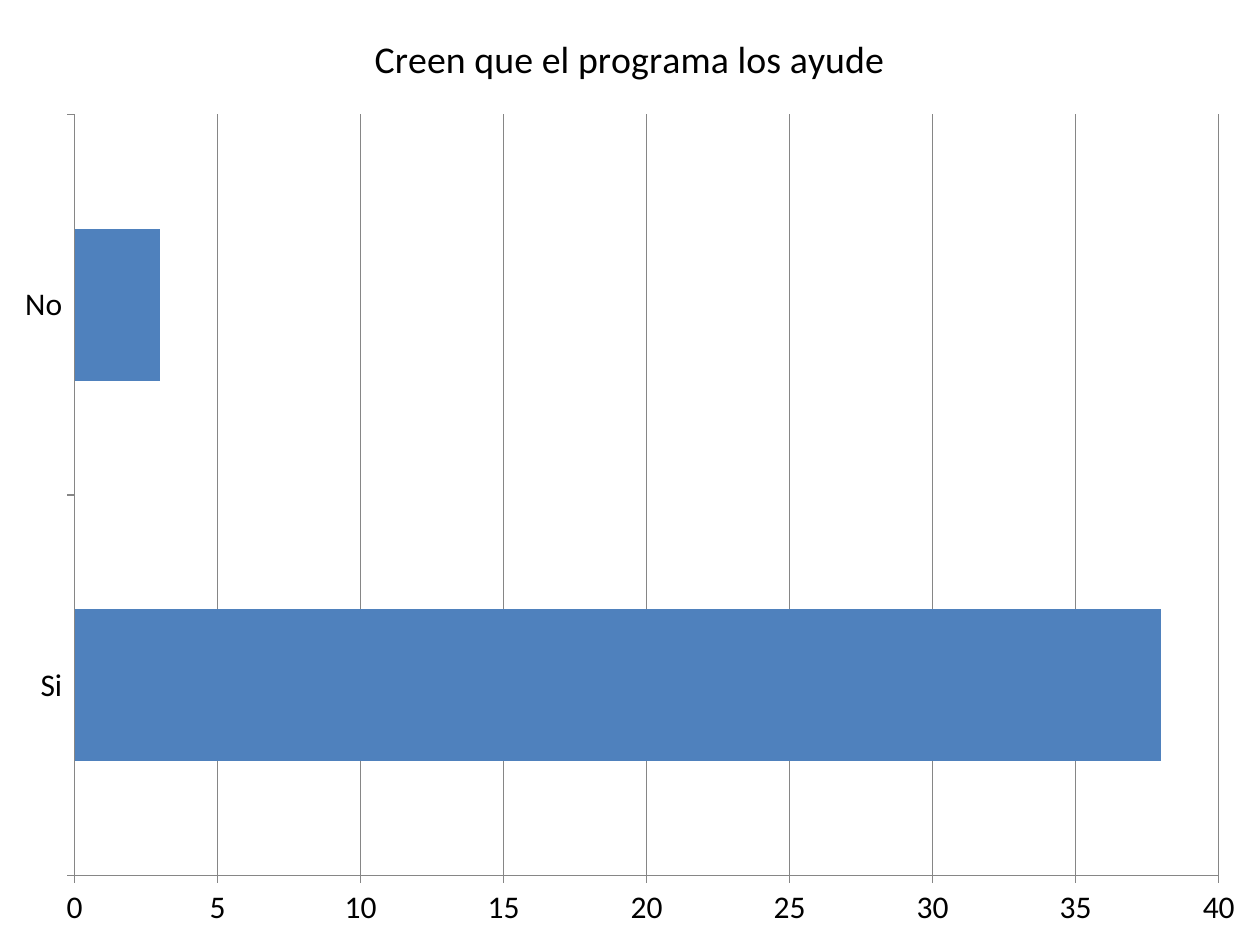
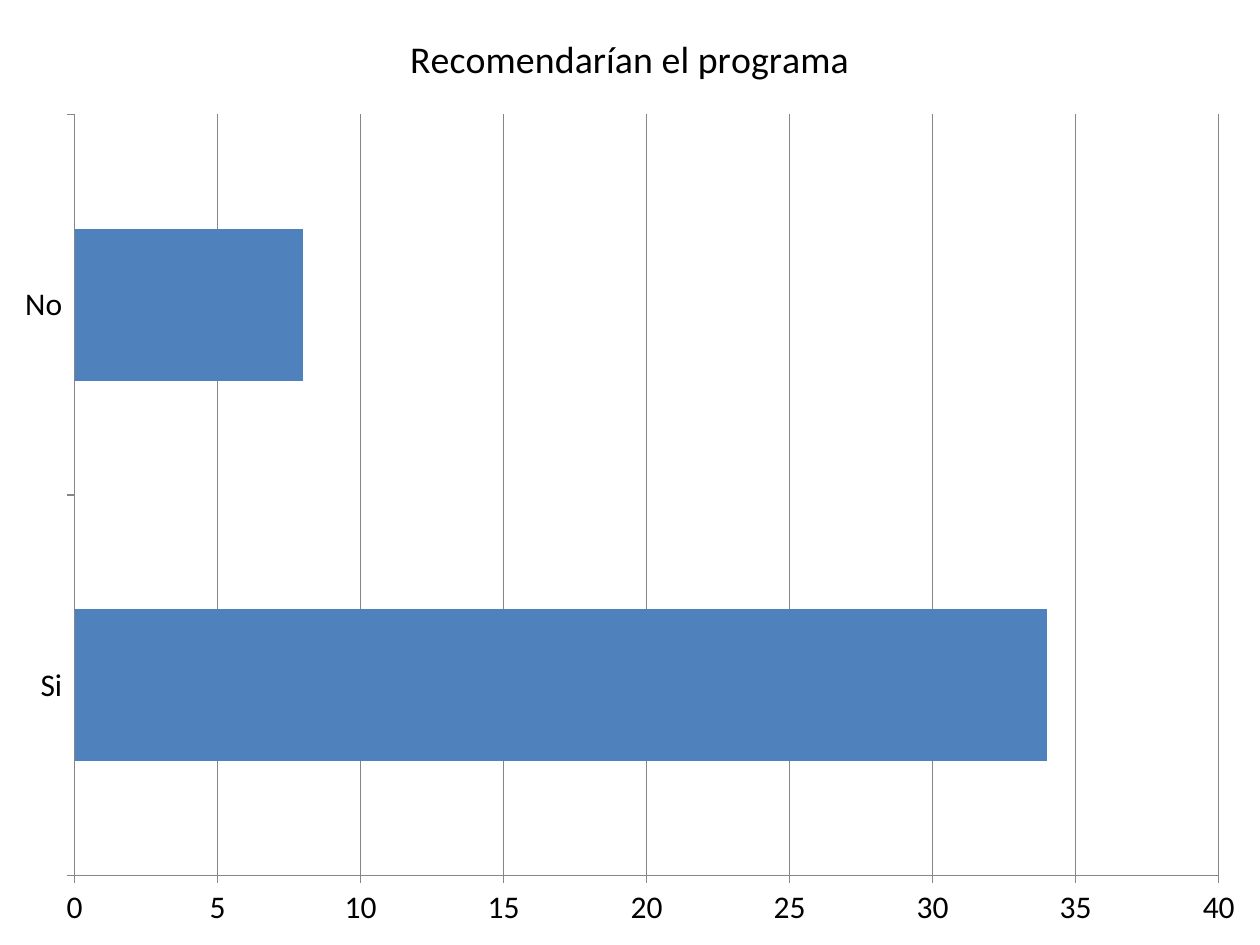
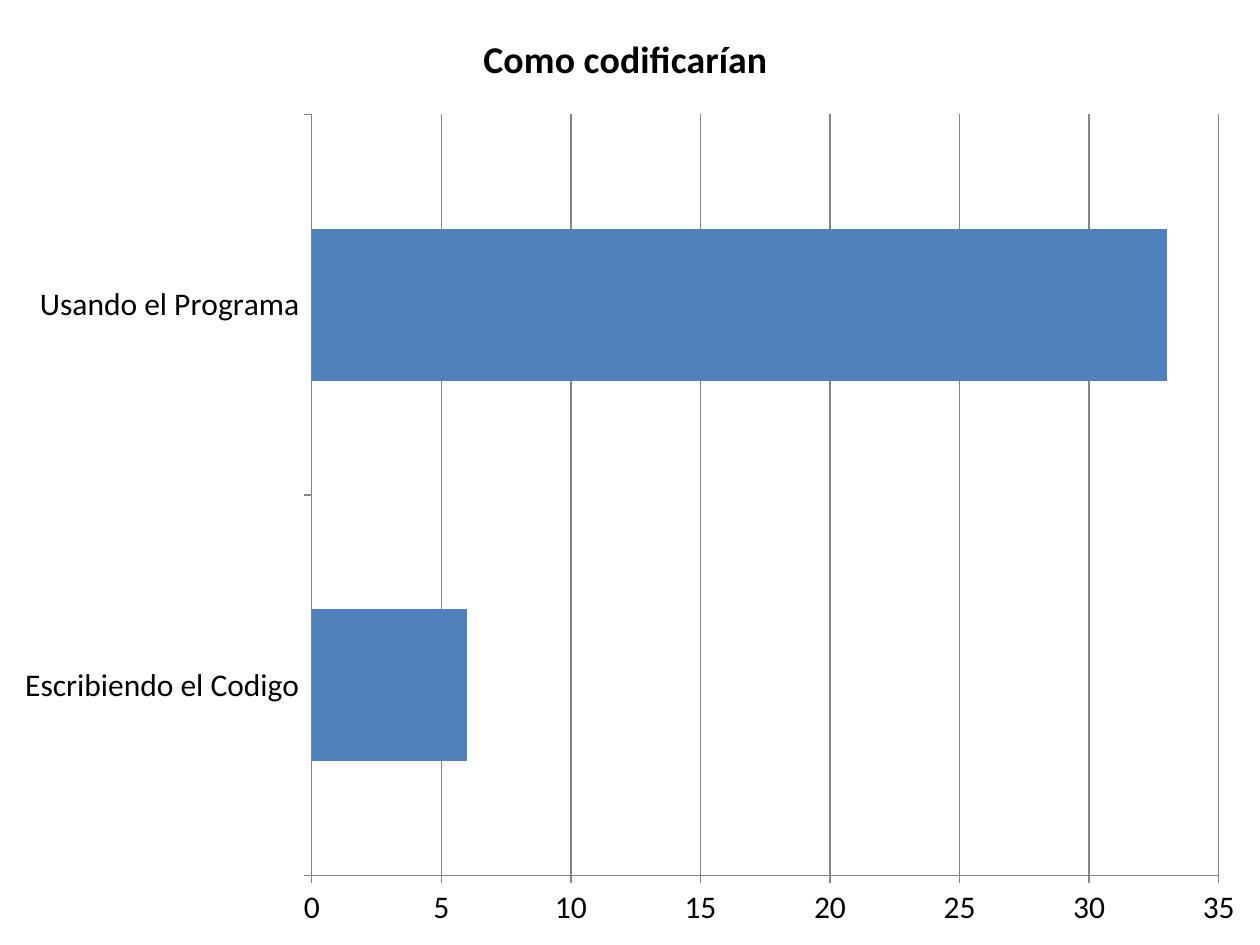
from pptx import Presentation
from pptx.chart.data import CategoryChartData as Data
from pptx.dml.color import RGBColor as RGB
from pptx.enum.chart import XL_CHART_TYPE as Kind, XL_TICK_MARK as Tick
from pptx.util import Pt

WIDE, HIGH = 720, 540
FONT, SIZE = "Calibri", 18
INK, GRAY, BLUE = "000000", "868686", "4F81BD"
STEP = 5

HELP = "Creen que el programa los ayude"
ADVISE = "Recomendarían el programa"
CODE = "Como codificarían "

# Series name, fixed title (None shows the series name), answers, axis top
POLLS = [
    (HELP, None, {"Si": 38, "No": 3}, 40),
    (ADVISE, None, {"Si": 34, "No": 8}, 40),
    ("Series 1", CODE, {"Escribiendo el Codigo": 6, "Usando el Programa": 33}, 35),
]


def color(code):
    return RGB.from_string(code)


def style(font, size, bold=False):
    font.name, font.size, font.bold = FONT, Pt(size), bold
    font.color.rgb = color(INK)


def rule(line):
    line.width = Pt(0.75)
    line.color.rgb = color(GRAY)


def add_title(chart, text):
    chart.has_title = True
    if text:
        run = chart.chart_title.text_frame.paragraphs[0].add_run()
        run.text = text
        style(run.font, SIZE * 1.2, True)


def add_axes(chart, top):
    names, scale = chart.category_axis, chart.value_axis
    for axis in (names, scale):
        axis.major_tick_mark, axis.minor_tick_mark = Tick.OUTSIDE, Tick.NONE
        rule(axis.format.line)
    names.has_major_gridlines = False
    scale.has_major_gridlines = True
    rule(scale.major_gridlines.format.line)
    scale.minimum_scale, scale.maximum_scale = 0, top
    scale.major_unit = STEP


def add_poll(slide, box, name, title, votes, top):
    data = Data(number_format="General")
    data.categories = list(votes)
    data.add_series(name, list(votes.values()))
    frame = slide.shapes.add_chart(Kind.BAR_STACKED, *map(Pt, box), data)
    chart = frame.chart
    chart.has_legend = False
    style(chart.font, SIZE)
    add_title(chart, title)
    add_axes(chart, top)

    # Bars
    plot = chart.plots[0]
    plot.gap_width, plot.overlap = 150, 100
    plot.vary_by_categories = False
    fill = plot.series[0].format.fill
    fill.solid()
    fill.fore_color.rgb = color(BLUE)


def main():
    deck = Presentation()
    deck.slide_width, deck.slide_height = Pt(WIDE), Pt(HIGH)
    for poll in POLLS:
        slide = deck.slides.add_slide(deck.slide_layouts[6])
        add_poll(slide, (0, 0, WIDE, HIGH), *poll)
    deck.save("out.pptx")


if __name__ == "__main__":
    main()
